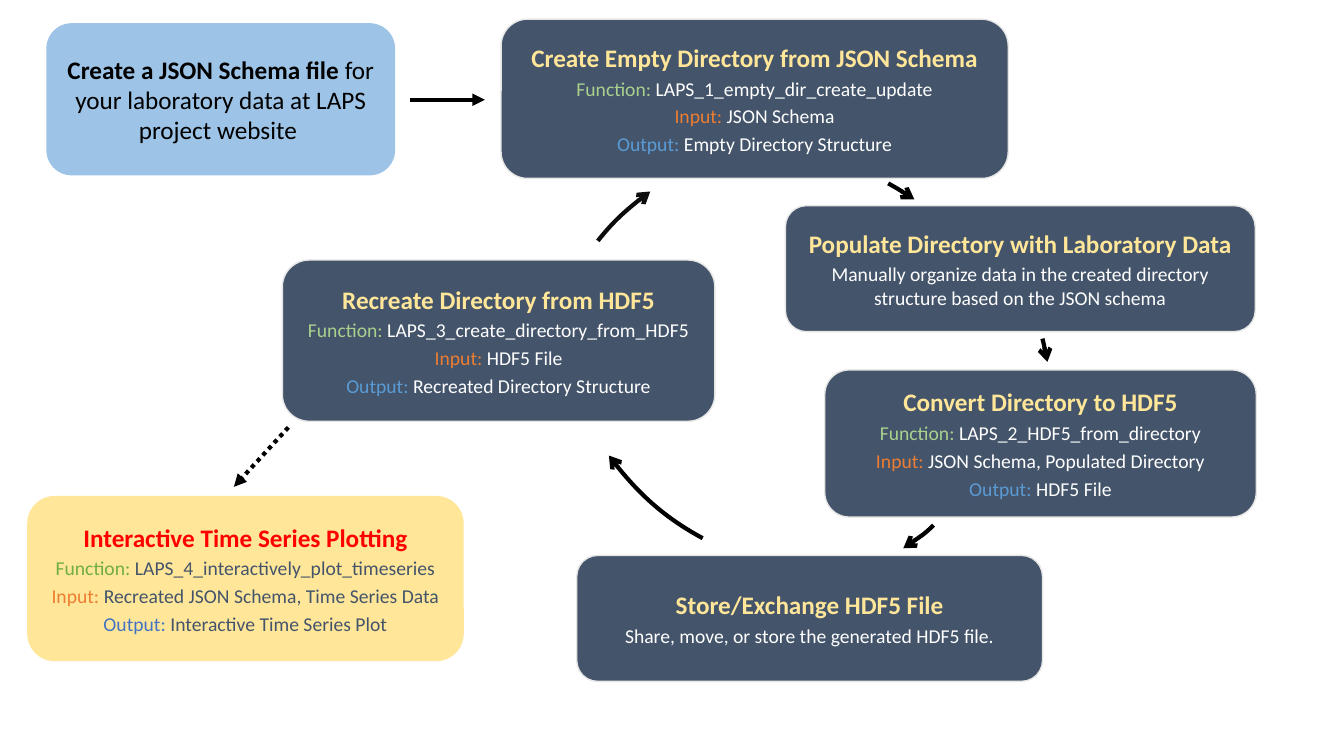
import dataclasses
import typing

import lxml.etree
import pptx
import pptx.dml.color
import pptx.enum.dml
import pptx.enum.shapes
import pptx.enum.text
import pptx.oxml.ns
import pptx.shapes.base
import pptx.slide
import pptx.text.text
import pptx.util

RGB = pptx.dml.color.RGBColor
NAVY = RGB(0x44, 0x54, 0x6A)
GREY = RGB(0xE7, 0xE6, 0xE6)
CREAM = RGB(0xFF, 0xE6, 0x99)
SKY = RGB(0x9D, 0xC3, 0xE6)
WHITE = RGB(0xFF, 0xFF, 0xFF)
BLACK = RGB(0x00, 0x00, 0x00)
SOOT = RGB(0x0D, 0x0D, 0x0D)
RED = RGB(0xFF, 0x00, 0x00)
LIME = RGB(0xA9, 0xD1, 0x8E)
GREEN = RGB(0x70, 0xAD, 0x47)
ORANGE = RGB(0xED, 0x7D, 0x31)
BLUE = RGB(0x5B, 0x9B, 0xD5)
ROYAL = RGB(0x44, 0x72, 0xC4)

WIDE, HIGH = pptx.util.Inches(13.33), pptx.util.Inches(7.5)
COL, ROW = WIDE / 133.3, HIGH / 75
FONT = "Calibri"
BIG, SMALL = 18, 14
RING = (55.6, 55.6)

Point = tuple[float, float]


class Look(typing.NamedTuple):
    fill: RGB
    edge: RGB | None
    inset: float
    title: RGB
    body: RGB
    labels: tuple[RGB, RGB, RGB]


class Piece(typing.NamedTuple):
    text: str
    color: RGB
    size: int = SMALL
    bold: bool = False


@dataclasses.dataclass(frozen=True)
class Box:
    left: float
    top: float
    width: float
    height: float
    look: Look
    lines: list[list[Piece]]


class Curve(typing.NamedTuple):
    """An arc of a ring: the ring's corner, then four cubic control points."""
    ring: Point
    start: Point
    pull: Point
    push: Point
    end: Point
    color: RGB = BLACK


class Link(typing.NamedTuple):
    start: Point
    end: Point
    dotted: bool = False


STAGE = Look(NAVY, GREY, 0.7, CREAM, WHITE, (LIME, ORANGE, BLUE))
PLOT = Look(CREAM, None, 1, RED, NAVY, (GREEN, ORANGE, ROYAL))
START = Look(SKY, None, 1, BLACK, BLACK, (BLACK, BLACK, BLACK))


def note(look: Look, title: str, body: str) -> list[list[Piece]]:
    return [[Piece(title, look.title, BIG, True)], [Piece(body, look.body)]]


def task(look: Look, title: str, *values: str) -> list[list[Piece]]:
    """Title, then the function, input and output of a step."""
    names = ("Function:", "Input:", "Output:")
    rows = [[Piece(name, color), Piece(f" {value}", look.body)]
            for name, color, value in zip(names, look.labels, values)]
    return [[Piece(title, look.title, BIG, True)], *rows]


BOXES = [
    Box(49.7, 1.9, 50.3, 15.8, STAGE, task(
        STAGE, "Create Empty Directory from JSON Schema",
        "LAPS_1_empty_dir_create_update", "JSON Schema",
        "Empty Directory Structure")),
    Box(77.9, 20.4, 46.6, 12.5, STAGE, note(
        STAGE, "Populate Directory with Laboratory Data",
        "Manually organize data in the created directory structure "
        "based on the JSON schema")),
    Box(81.8, 36.7, 42.8, 14.6, STAGE, task(
        STAGE, "Convert Directory to HDF5", "LAPS_2_HDF5_from_directory",
        "JSON Schema, Populated Directory", "HDF5 File")),
    Box(57.2, 55.1, 46.2, 12.5, STAGE, note(
        STAGE, "Store/Exchange HDF5 File",
        "Share, move, or store the generated HDF5 file.")),
    Box(28, 25.8, 42.9, 16, STAGE, task(
        STAGE, "Recreate Directory from HDF5",
        "LAPS_3_create_directory_from_HDF5", "HDF5 File",
        "Recreated Directory Structure")),
    Box(2.7, 49.2, 43.3, 16.4, PLOT, task(
        PLOT, "Interactive Time Series Plotting",
        "LAPS_4_interactively_plot_timeseries",
        "Recreated JSON Schema, Time Series Data",
        "Interactive Time Series Plot")),
    Box(4.6, 2.3, 34.6, 15.1, START, [[
        Piece("Create a JSON Schema file ", BLACK, BIG, True),
        Piece("for your laboratory data at LAPS project website ",
              BLACK, BIG)]]),
]
CURVES = [
    Curve((46.6, 14.6),
          (88.1, 18.2), (89, 18.7), (89.8, 19.2), (90.7, 19.8)),
    Curve((48.6, 12.6),
          (103.4, 33.6), (103.6, 34.4), (103.7, 35.1), (103.9, 35.9)),
    Curve((46.6, 3.4),
          (92.6, 52.1), (91.7, 53), (90.6, 53.7), (89.6, 54.4)),
    Curve((55.3, 1.3),
          (69.7, 53.4), (66, 51.4), (62.9, 48.6), (60.4, 45.2)),
    Curve((53, 13.7),
          (59.3, 23.9), (60.8, 22), (62.6, 20.4), (64.5, 19), SOOT),
]
LINKS = [
    Link((40.7, 9.9), (48.1, 9.9)),
    Link((28.6, 42.4), (23.2, 48.3), dotted=True),
]


def tag(name: str) -> str:
    return pptx.oxml.ns.qn(f"a:{name}")


def spot(point: Point) -> tuple[int, int]:
    return round(point[0] * COL), round(point[1] * ROW)


def write(para: pptx.text.text._Paragraph, pieces: list[Piece]) -> None:
    para.alignment = pptx.enum.text.PP_ALIGN.CENTER
    para.space_after = pptx.util.Pt(3)
    for piece in pieces:
        run = para.add_run()
        run.text = piece.text
        run.font.name = FONT
        run.font.size = pptx.util.Pt(piece.size)
        run.font.bold = piece.bold
        run.font.color.rgb = piece.color


def draw_box(slide: pptx.slide.Slide, box: Box) -> None:
    shape = slide.shapes.add_shape(
        pptx.enum.shapes.MSO_SHAPE.ROUNDED_RECTANGLE,
        *spot((box.left, box.top)), *spot((box.width, box.height)))
    shape.shadow.inherit = False
    shape.fill.solid()
    shape.fill.fore_color.rgb = box.look.fill
    if box.look.edge is None:
        shape.line.fill.background()
    else:
        shape.line.color.rgb = box.look.edge
        shape.line.width = pptx.util.Pt(1)
    frame = shape.text_frame
    frame.word_wrap = True
    frame.vertical_anchor = pptx.enum.text.MSO_ANCHOR.MIDDLE
    frame.margin_left = frame.margin_right = round(box.look.inset * COL)
    frame.margin_top = frame.margin_bottom = round(box.look.inset * ROW)
    for index, pieces in enumerate(box.lines):
        write(frame.add_paragraph() if index else frame.paragraphs[0], pieces)


def ink(shape: pptx.shapes.base.BaseShape, color: RGB, head: str) -> None:
    """Give a line its colour, weight and arrowhead."""
    shape.line.color.rgb = color
    shape.line.width = pptx.util.Pt(3)
    edge = shape._element.spPr.find(tag("ln"))
    lxml.etree.SubElement(edge, tag("tailEnd"), type=head)


def bend(shape: pptx.shapes.base.BaseShape, ring: Point) -> None:
    """Turn three straight segments into one cubic, framed by its ring."""
    left, top = spot(ring)
    width, height = spot(RING)
    route = next(shape._element.iter(tag("path")))
    for dot in route.iter(tag("pt")):
        dot.set("x", str(int(dot.get("x")) + shape.left - left))
        dot.set("y", str(int(dot.get("y")) + shape.top - top))
    route.set("w", str(width))
    route.set("h", str(height))
    cubic = lxml.etree.SubElement(route, tag("cubicBezTo"))
    for step in route.findall(tag("lnTo")):
        cubic.append(step[0])
        route.remove(step)
    shape.left, shape.top, shape.width, shape.height = left, top, width, height


def draw_curve(slide: pptx.slide.Slide, curve: Curve) -> None:
    pen = slide.shapes.build_freeform(*spot(curve.start))
    pen.add_line_segments(
        [spot(point) for point in (curve.pull, curve.push, curve.end)],
        close=False)
    shape = pen.convert_to_shape()
    bend(shape, curve.ring)
    shape.shadow.inherit = False
    shape.fill.background()
    ink(shape, curve.color, "arrow")


def draw_link(slide: pptx.slide.Slide, link: Link) -> None:
    wire = slide.shapes.add_connector(
        pptx.enum.shapes.MSO_CONNECTOR.STRAIGHT,
        *spot(link.start), *spot(link.end))
    if link.dotted:
        wire.line.dash_style = pptx.enum.dml.MSO_LINE.ROUND_DOT
    ink(wire, BLACK, "triangle")
    lxml.etree.SubElement(wire._element.spPr, tag("effectLst"))


if __name__ == "__main__":
    deck = pptx.Presentation()
    deck.slide_width, deck.slide_height = WIDE, HIGH
    page = deck.slides.add_slide(deck.slide_layouts[6])
    for box in BOXES:
        draw_box(page, box)
    for curve in CURVES:
        draw_curve(page, curve)
    for link in LINKS:
        draw_link(page, link)
    deck.save("out.pptx")
